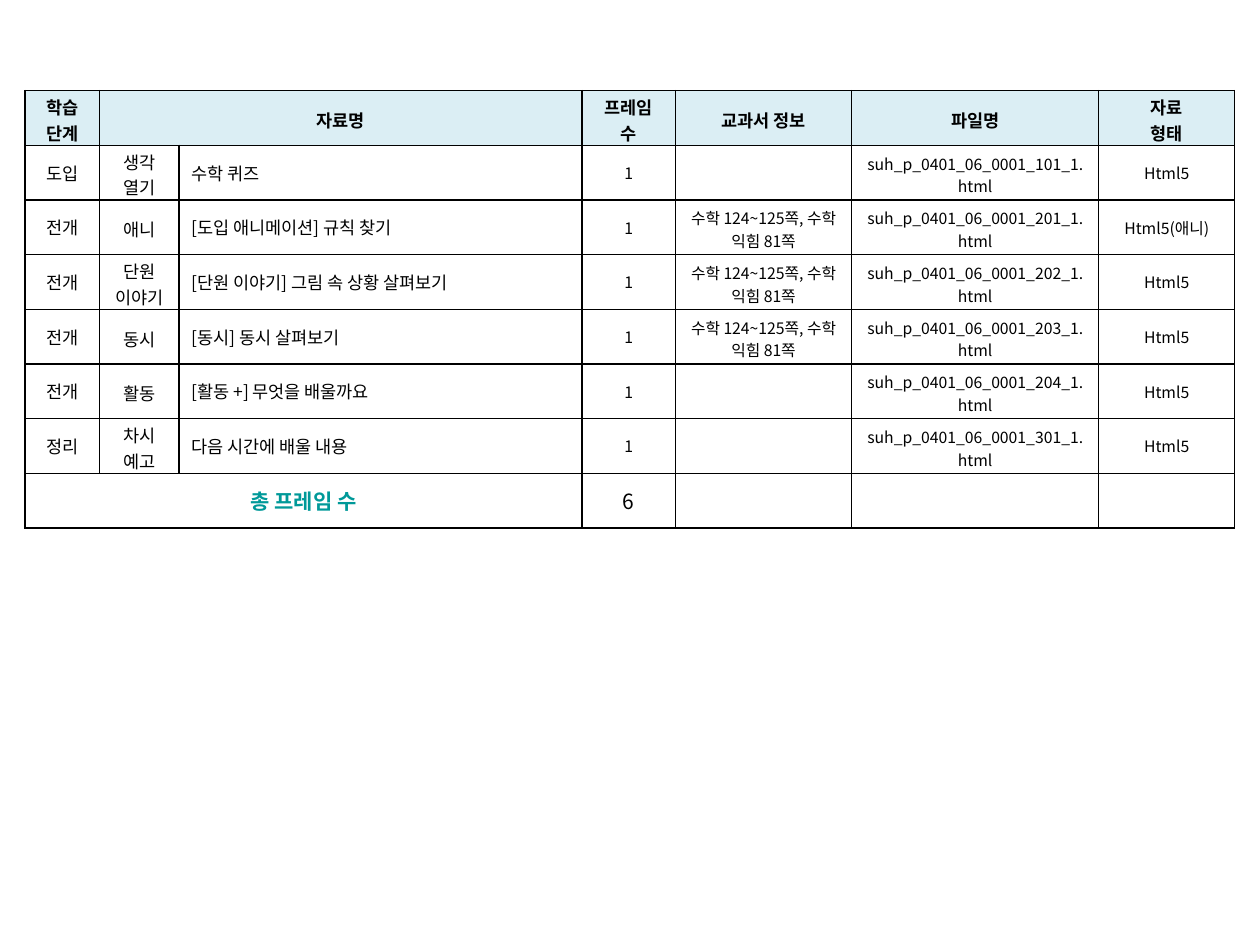
from lxml import etree
from pptx import Presentation
from pptx.dml.color import RGBColor
from pptx.enum.text import MSO_ANCHOR, PP_ALIGN
from pptx.oxml.ns import qn
from pptx.util import Pt

MIDDLE = MSO_ANCHOR.MIDDLE
LEFT, CENTER = PP_ALIGN.LEFT, PP_ALIGN.CENTER

THEME = {
    "font": "Noto Sans CJK KR",
    "ink": "000000", "teal": "009999", "head": "DBEEF4",
    "small": 9, "base": 10, "total": 12, "line": 1,
}

BOOK = "수학 124~125쪽, 수학 익힘 81쪽"
HEAD = ["학습 단계", "자료명", "", "프레임 수", "교과서 정보", "파일명", "자료\n형태"]
# Stage, part, title, textbook pages, file number, format
STEPS = [
    ("도입", "생각\n열기", "수학 퀴즈", "", 101, "Html5"),
    ("전개", "애니", "[도입 애니메이션] 규칙 찾기", BOOK, 201, "Html5(애니)"),
    ("전개", "단원\n이야기", "[단원 이야기] 그림 속 상황 살펴보기", BOOK, 202, "Html5"),
    ("전개", "동시", "[동시] 동시 살펴보기", BOOK, 203, "Html5"),
    ("전개", "활동", "[활동 +] 무엇을 배울까요", "", 204, "Html5"),
    ("정리", "차시 예고", "다음 시간에 배울 내용", "", 301, "Html5"),
]
rows = [HEAD]
for stage, part, title, book, num, kind in STEPS:
    rows.append([stage, part, title, "1", book,
                 f"suh_p_0401_06_0001_{num}_1.html", kind])
rows.append(["총 프레임 수", "", "", str(len(STEPS)), "", "", ""])
last = len(rows) - 1

WIDTHS = [42.48, 45.36, 230.4, 53.28, 100.8, 141.12, 77.76]
ROW = 31.25
TALL = (1, 4, 5)  # columns whose text runs over two lines


def add_edges(cell):
    """Draw a thin line on all four sides of a cell."""
    props = cell._tc.get_or_add_tcPr()
    for side in ("lnL", "lnR", "lnT", "lnB"):
        line = etree.SubElement(props, qn(f"a:{side}"), w=str(Pt(THEME["line"])))
        paint = etree.SubElement(line, qn("a:solidFill"))
        etree.SubElement(paint, qn("a:srgbClr"), val=THEME["ink"])


def add_text(cell, text, align, size, bold, color):
    """Write the text of a cell in one format."""
    cell.text = text
    for para in cell.text_frame.paragraphs:
        para.alignment = align
        if not para.runs:
            etree.SubElement(para._p, qn("a:endParaRPr"), sz=str(size * 100))
        for run in para.runs:
            look = {"name": THEME["font"], "size": Pt(size), "bold": bold}
            for key, value in look.items():
                setattr(run.font, key, value)
            run.font.color.rgb = RGBColor.from_string(color)
            etree.SubElement(run._r.get_or_add_rPr(), qn("a:ea"),
                             typeface=THEME["font"])


# Slide
deck = Presentation()
deck.slide_width, deck.slide_height = Pt(720), Pt(540)
slide = deck.slides.add_slide(deck.slide_layouts[6])

# Table grid
table = slide.shapes.add_table(
    len(rows), len(WIDTHS), Pt(14.4), Pt(51.84),
    Pt(sum(WIDTHS)), Pt(ROW * len(rows))).table
table.first_row = table.horz_banding = False
for col, width in zip(table.columns, WIDTHS):
    col.width = Pt(width)
for row in table.rows:
    row.height = Pt(ROW)
table.cell(0, 1).merge(table.cell(0, 2))
table.cell(last, 0).merge(table.cell(last, 2))

# Cells
for r, row in enumerate(rows):
    for c, text in enumerate(row):
        cell = table.cell(r, c)
        add_edges(cell)
        top, bottom = (2.2, 0) if r == 0 or c in TALL else (3.6, 3.6)
        frame = {"vertical_anchor": MIDDLE, "margin_left": Pt(7.2),
                 "margin_right": Pt(7.2), "margin_top": Pt(top),
                 "margin_bottom": Pt(bottom)}
        for key, value in frame.items():
            setattr(cell, key, value)
        if r == 0:
            cell.fill.solid()
            cell.fill.fore_color.rgb = RGBColor.from_string(THEME["head"])
        else:
            cell.fill.background()

        size = THEME["base"] if r == 0 or c < 3 else THEME["small"]
        if r == last and text:
            size = THEME["total"]
        total = r == last and c == 0
        align = LEFT if c == 2 and 0 < r < last else CENTER
        color = THEME["teal"] if total else THEME["ink"]
        if not cell.is_spanned:
            add_text(cell, text, align, size, r == 0 or total, color)
        else:
            add_text(cell, "", align, size, False, color)

deck.save("out.pptx")
